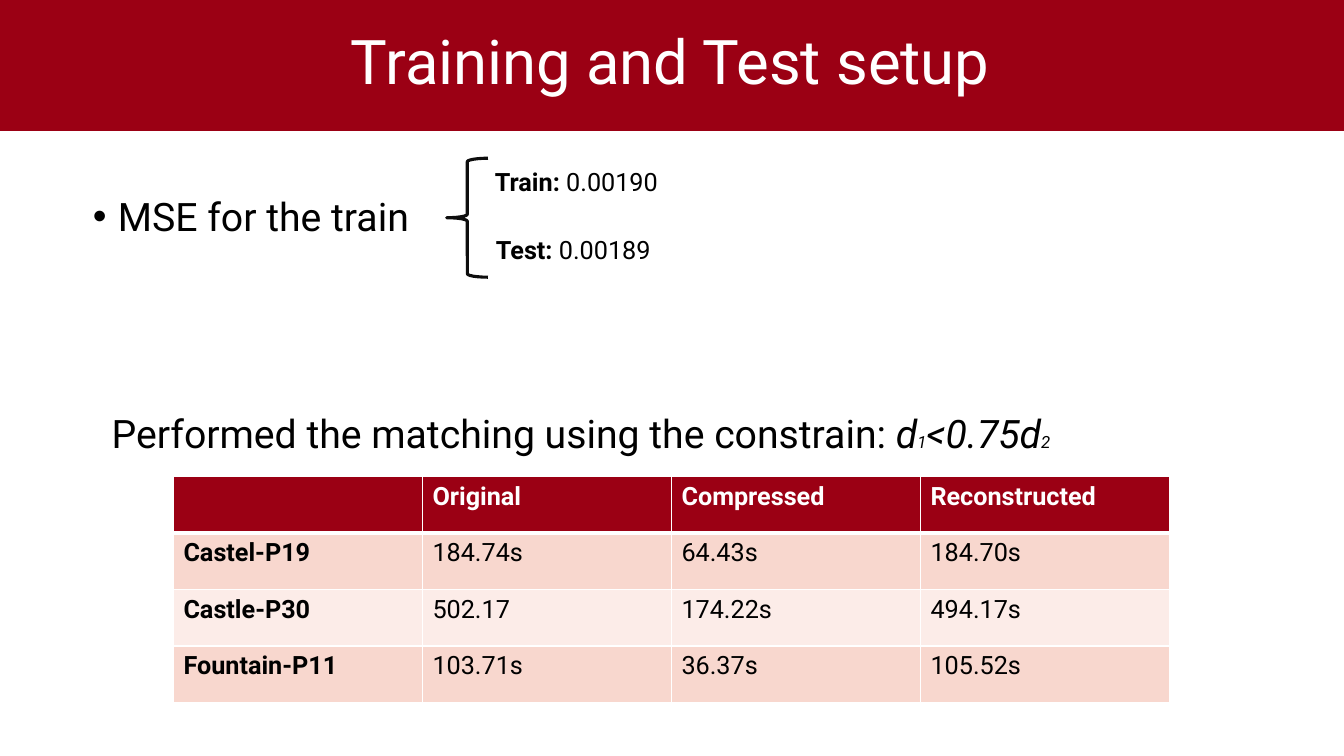
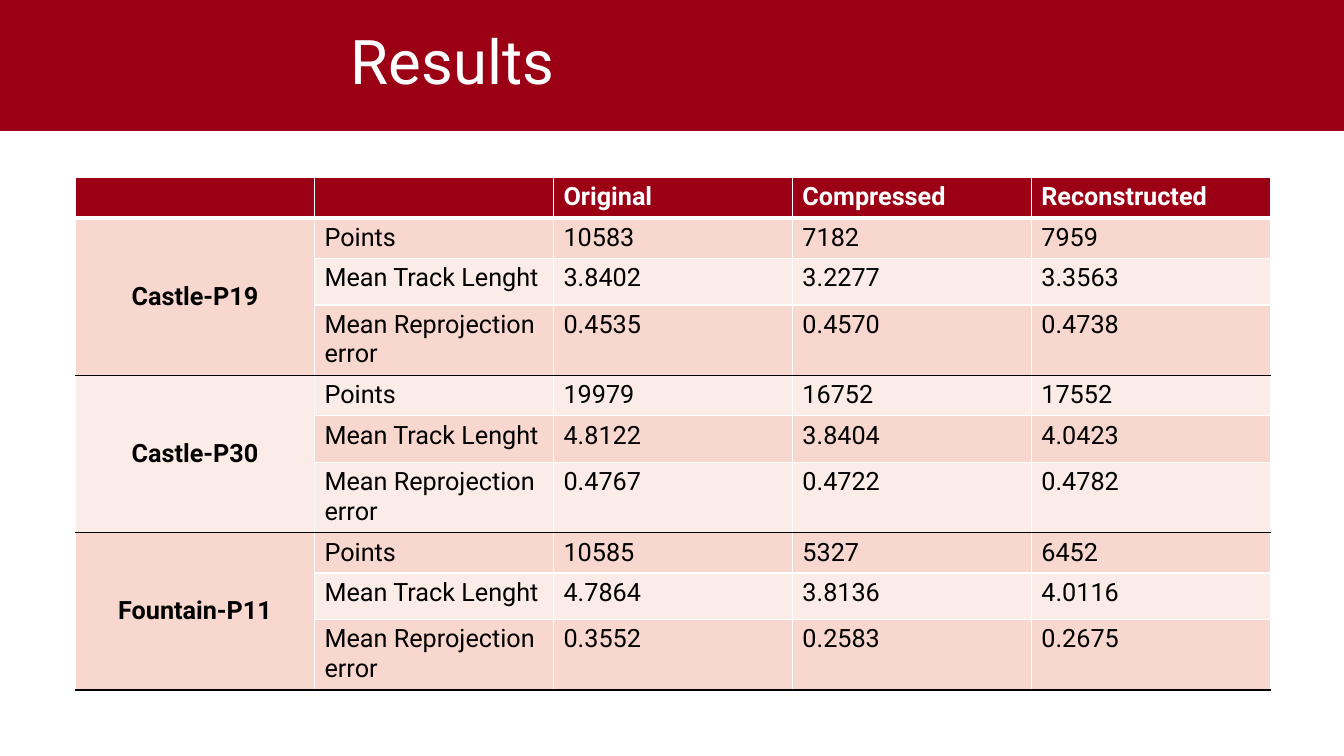
import pptx
import pptx.util
import pptx.dml.color
import pptx.enum.shapes
import pptx.enum.text
import pptx.oxml.ns
import lxml.etree

Inches, Pt = pptx.util.Inches, pptx.util.Pt
ALIGN, ANCHOR = pptx.enum.text.PP_ALIGN, pptx.enum.text.MSO_ANCHOR
SHAPE = pptx.enum.shapes.MSO_SHAPE
FONT = "Roboto"
COLORS = {
    "red": "9B0014", "white": "FFFFFF", "black": "000000",
    "ink": "0D0D0D", "dark": "F8D7CE", "light": "FCECE8",
}
WIDTH = 13.33
HEADS = ["Original", "Compressed", "Reconstructed"]


def color(name):
    return pptx.dml.color.RGBColor.from_string(COLORS[name])


def paint(fill, name):
    fill.solid()
    fill.fore_color.rgb = color(name)


def place(shape, x, y, w, h):
    shape.left, shape.top = Inches(x), Inches(y)
    shape.width, shape.height = Inches(w), Inches(h)


def write(frame, runs, size=18, tint="black", bold=False, align=ALIGN.LEFT, lines=None):
    """Fill the first paragraph with (text, bold, italic, size) runs or one string."""
    para = frame.paragraphs[0]
    para.alignment = align
    para.space_before = Pt(0)
    if lines:
        para.line_spacing = lines
    if isinstance(runs, str):
        runs = [(runs, {})]
    for text, own in runs:
        run = para.add_run()
        run.text = text
        font = run.font
        font.name = FONT
        font.size = Pt(own.get("size", size))
        font.bold = own.get("bold", bold)
        font.italic = own.get("italic", False)
        font.color.rgb = color(tint)
    return para


def label(slide, runs, x, y, w, h, **style):
    frame = slide.shapes.add_textbox(Inches(x), Inches(y), Inches(w), Inches(h)).text_frame
    frame.word_wrap = True
    write(frame, runs, **style)


def preset(slide, kind, x, y, w, h, fill, line=None, weight=1):
    shape = slide.shapes.add_shape(kind, Inches(x), Inches(y), Inches(w), Inches(h))
    shape.shadow.inherit = False
    paint(shape.fill, fill)
    if line:
        shape.line.color.rgb = color(line)
        shape.line.width = Pt(weight)
    else:
        shape.line.fill.background()
    return shape


def title(slide, text):
    write(slide.shapes.title.text_frame, text, size=44, tint="white", lines=0.9)


def bullet(slide, text, x, y, w, h):
    body = slide.placeholders[1]
    place(body, x, y, w, h)
    para = write(body.text_frame, text, size=28, lines=0.9)
    props = para._p.get_or_add_pPr()
    props.set("marL", str(Inches(0.25)))
    props.set("indent", str(-Inches(0.25)))


def border(cell, top, bottom):
    """Give a cell white sides and the given (color, points) top and bottom."""
    props = cell._tc.get_or_add_tcPr()
    side = ("white", 1)
    edges = [("L", side), ("R", side), ("T", top), ("B", bottom)]
    for spot, (name, (tint, width)) in enumerate(edges):
        line = lxml.etree.Element(pptx.oxml.ns.qn("a:ln" + name), w=str(Pt(width)))
        fill = lxml.etree.SubElement(line, pptx.oxml.ns.qn("a:solidFill"))
        lxml.etree.SubElement(fill, pptx.oxml.ns.qn("a:srgbClr"), val=COLORS[tint])
        props.insert(spot, line)


def grid(slide, rows, x, y, wide, heights, span=1):
    """Draw a banded table; the first column joins each group of span rows."""
    count = len(rows[0])
    table = slide.shapes.add_table(len(rows), count, Inches(x), Inches(y),
                                   Inches(wide * count), Inches(sum(heights))).table
    table.first_row = table.horz_banding = False
    for col in table.columns:
        col.width = Inches(wide)
    for row, high in zip(table.rows, heights):
        row.height = Inches(high)

    # Rules above each row, and one below the last
    rules = [("white", 1), ("white", 3)]
    for r in range(2, len(rows) + 1):
        ends = span > 1 and (r - 1) % span == 0
        rules.append(("black" if ends else "white", 1))

    if span > 1:
        for r in range(1, len(rows), span):
            table.cell(r, 0).merge(table.cell(r + span - 1, 0))

    for r, row in enumerate(rows):
        for c, text in enumerate(row):
            cell = table.cell(r, c)
            if cell.is_spanned:
                continue
            paint(cell.fill, "red" if r == 0 else "dark" if r % 2 else "light")
            deep = cell.span_height if cell.is_merge_origin else 1
            border(cell, rules[r], rules[r + deep])
            if deep > 1:
                cell.vertical_anchor = ANCHOR.MIDDLE
            if text:
                write(cell.text_frame, text, bold=r == 0 or c == 0,
                      tint="black" if r else "white",
                      align=ALIGN.CENTER if deep > 1 else ALIGN.LEFT)


def master(deck, slide):
    """Set the red band and the title box that all slides share."""
    base = deck.slide_master
    band = preset(slide, SHAPE.RECTANGLE, 0, 0, WIDTH, 1.3, "red")
    base.shapes.element.insert(2, band.element)
    head = next(p for p in base.placeholders if p.placeholder_format.idx == 0)
    place(head, 3.38, 0.14, 7.04, 1)
    head.text_frame.vertical_anchor = ANCHOR.MIDDLE


def setup(slide):
    title(slide, "Training and Test setup")
    bullet(slide, "MSE for the train", 0.82, 1.91, 3.6, 0.6)

    # Errors beside the brace
    preset(slide, SHAPE.LEFT_BRACE, 4.43, 1.57, 0.41, 1.18, "white", "ink", 2.25)
    errors = [("Train: ", "0.00190", 4.81, 1.6), ("Test: ", "0.00189", 4.82, 2.28)]
    for name, value, x, y in errors:
        label(slide, [(name, {"bold": True}), (value, {})], x, y, 2.05, 0.4)

    # Matching times
    big, small = {"italic": True}, {"italic": True, "size": 12}
    label(slide, [("Performed the matching using the constrain: ", {}), ("d", big),
                  ("1", small), ("<0.75d", big), ("2", small)],
          1.01, 4.01, 10.59, 0.6, size=28)
    rows = [
        [""] + HEADS,
        ["Castel-P19", "184.74s", "64.43s", "184.70s"],
        ["Castle-P30", "502.17", "174.22s", "494.17s"],
        ["Fountain-P11", "103.71s", "36.37s", "105.52s"],
    ]
    grid(slide, rows, 1.72, 4.73, 2.47, [0.56] * 4)


def results(slide):
    title(slide, "Results")
    names = ["Points", "Mean Track Lenght", "Mean Reprojection error"]
    groups = {
        "Castle-P19": [["10583", "7182", "7959"],
                       ["3.8402", "3.2277", "3.3563"],
                       ["0.4535", "0.4570", "0.4738"]],
        "Castle-P30": [["19979", "16752", "17552"],
                       ["4.8122", "3.8404", "4.0423"],
                       ["0.4767", "0.4722", "0.4782"]],
        "Fountain-P11": [["10585", "5327", "6452"],
                         ["4.7864", "3.8136", "4.0116"],
                         ["0.3552", "0.2583", "0.2675"]],
    }
    rows = [["", ""] + HEADS]
    for group, values in groups.items():
        for n, (name, line) in enumerate(zip(names, values)):
            rows.append(["" if n else group, name] + line)
    grid(slide, rows, 0.75, 1.76, 2.37, [0.4] + [0.4, 0.46, 0.7] * 3, span=3)


def main():
    deck = pptx.Presentation()
    deck.slide_width, deck.slide_height = Inches(WIDTH), Inches(7.5)
    first = deck.slides.add_slide(deck.slide_layouts[1])
    second = deck.slides.add_slide(deck.slide_layouts[5])
    master(deck, first)
    setup(first)
    results(second)
    deck.save("out.pptx")


if __name__ == "__main__":
    main()
